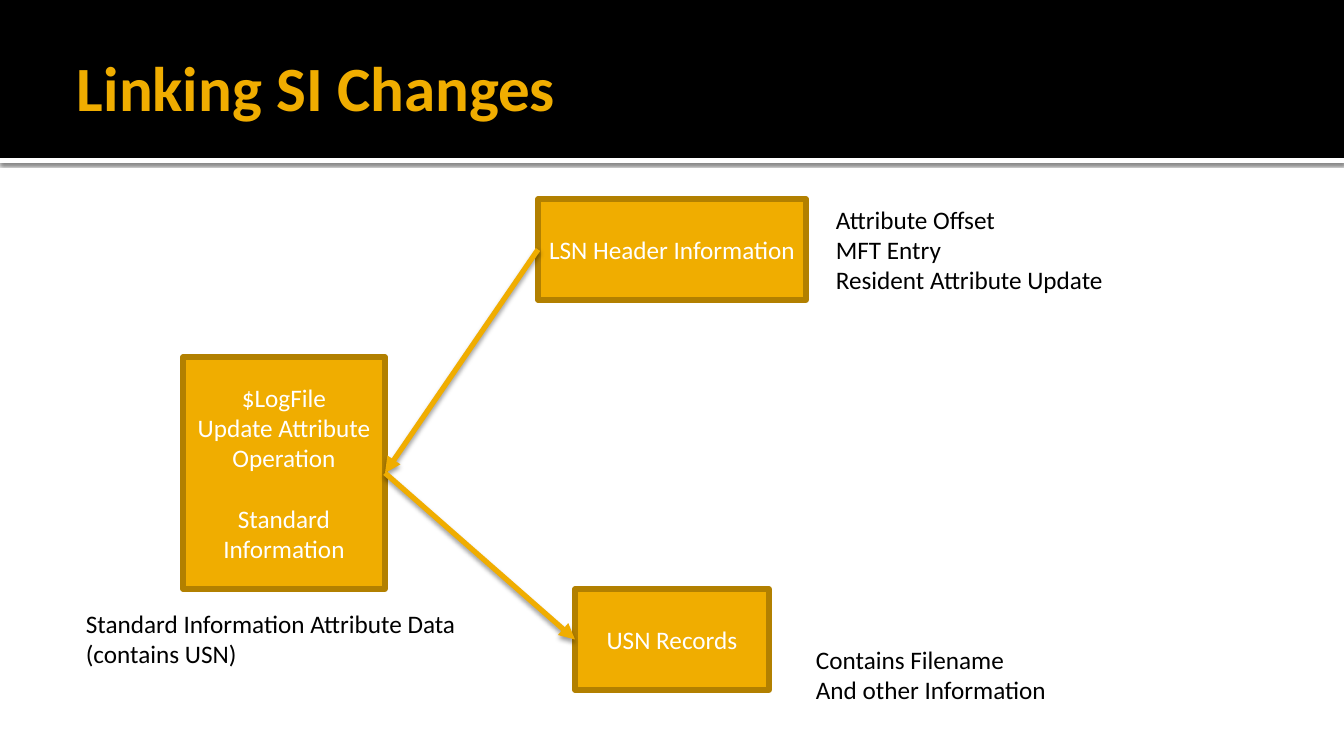
from lxml.etree import SubElement
from pptx import Presentation
from pptx.dml.color import RGBColor
from pptx.enum.shapes import MSO_CONNECTOR, MSO_SHAPE
from pptx.enum.text import MSO_ANCHOR, MSO_AUTO_SIZE, PP_ALIGN
from pptx.oxml.ns import qn
from pptx.util import Emu, Pt

# Content: places are left, top, width, height in px
WIDE, HIGH = 1344, 756
GOLD, BROWN, WHITE, BLACK = "F0AD00", "B28000", "FFFFFF", "000000"
FONT, SIZE, STROKE = "Calibri", 18, 3.78
BLANK = 22  # points that open a gap of one line

TITLE = ("Linking SI Changes", (67, 17, 1210, 138))
STRIPE = (0, 158, WIDE, 5)
BANNER = (0, 0, WIDE, 158)
BOXES = {
    "log": ((183, 357, 202, 232),
            ["$LogFile", "Update Attribute", "Operation", "Standard Information"], BLANK),
    "header": ((538, 199, 268, 101), ["LSN Header Information"], 0),
    "usn": ((575, 589, 194, 101), ["USN Records"], 0),
}
LEFT, RIGHT = 1, 3
ARROWS = [("header", LEFT, "log", RIGHT), ("log", RIGHT, "usn", LEFT)]
NOTES = [
    ((826, 199, 295, 102), ["Attribute Offset", "MFT Entry", "Resident Attribute Update"]),
    ((76, 603, 404, 72), ["Standard Information Attribute Data", "(contains USN)"]),
    ((806, 639, 256, 72), ["Contains Filename", "And other Information"]),
]


def px(n):
    return Emu(round(n * 914400 / 100.8))


def place(box):
    return [px(n) for n in box]


def color(code):
    return RGBColor.from_string(code)


def write(frame, lines, size=SIZE, ink=BLACK, bold=False, align=PP_ALIGN.LEFT,
          anchor=MSO_ANCHOR.TOP, wrap=True, fit=MSO_AUTO_SIZE.NONE, gap=0):
    """Fill a text frame; gap is the space before its last line, in points."""
    frame.word_wrap, frame.auto_size = wrap, fit
    frame.vertical_anchor = anchor
    for i, line in enumerate(lines):
        para = frame.add_paragraph() if i else frame.paragraphs[0]
        para.alignment = align
        run = para.add_run()
        run.text = line
        font = run.font
        font.name, font.size, font.bold = FONT, Pt(size), bold
        font.color.rgb = color(ink)
    if gap:
        para.space_before = Pt(gap)


def shade(shape, alpha, blur, dist):
    """Cast a black shadow straight down; alpha in percent, lengths in points."""
    props = shape._element.spPr
    effects = props.find(qn("a:effectLst"))
    if effects is None:
        effects = SubElement(props, qn("a:effectLst"))
    cast = SubElement(effects, qn("a:outerShdw"), blurRad=str(Pt(blur)),
                      dist=str(Pt(dist)), dir="5400000", algn="ctr", rotWithShape="0")
    tint = SubElement(cast, qn("a:srgbClr"), val=BLACK)
    SubElement(tint, qn("a:alpha"), val=str(alpha * 1000))


def block(slide, box, fill, edge=None):
    shape = slide.shapes.add_shape(MSO_SHAPE.RECTANGLE, *place(box))
    shape.fill.solid()
    shape.fill.fore_color.rgb = color(fill)
    if edge:
        shape.line.color.rgb = color(edge)
        shape.line.width = Pt(STROKE)
    else:
        shape.line.fill.background()
    shape.shadow.inherit = False
    return shape


def main():
    deck = Presentation()
    deck.slide_width, deck.slide_height = px(WIDE), px(HIGH)
    slide = deck.slides.add_slide(deck.slide_layouts[5])

    # Banner with a shaded white stripe below it
    shade(block(slide, STRIPE, WHITE), 60, 2.5, 0.8)
    block(slide, BANNER, BLACK)

    # Title, brought in front of the banner
    text, box = TITLE
    title = slide.shapes.title
    title.left, title.top, title.width, title.height = place(box)
    frame = title.text_frame
    frame.margin_left = px(10)
    frame.margin_top = frame.margin_right = frame.margin_bottom = px(5)
    write(frame, [text], size=45, ink=GOLD, bold=True, anchor=MSO_ANCHOR.MIDDLE)
    slide.shapes._spTree.append(title._element)

    # Boxes
    nodes = {}
    for name, (box, lines, gap) in BOXES.items():
        nodes[name] = block(slide, box, GOLD, BROWN)
        write(nodes[name].text_frame, lines, ink=WHITE, align=PP_ALIGN.CENTER,
              anchor=MSO_ANCHOR.MIDDLE, gap=gap)

    # Arrows
    for start, out, end, into in ARROWS:
        arrow = slide.shapes.add_connector(MSO_CONNECTOR.STRAIGHT, 0, 0, 0, 0)
        arrow.begin_connect(nodes[start], out)
        arrow.end_connect(nodes[end], into)
        arrow.line.color.rgb = color(GOLD)
        arrow.line.width = Pt(STROKE)
        SubElement(arrow.line._get_or_add_ln(), qn("a:tailEnd"), type="triangle")
        shade(arrow, 38, 3.5, 2)

    # Notes
    for box, lines in NOTES:
        note = slide.shapes.add_textbox(*place(box))
        write(note.text_frame, lines, wrap=False, fit=MSO_AUTO_SIZE.SHAPE_TO_FIT_TEXT)

    deck.save("out.pptx")


if __name__ == "__main__":
    main()
